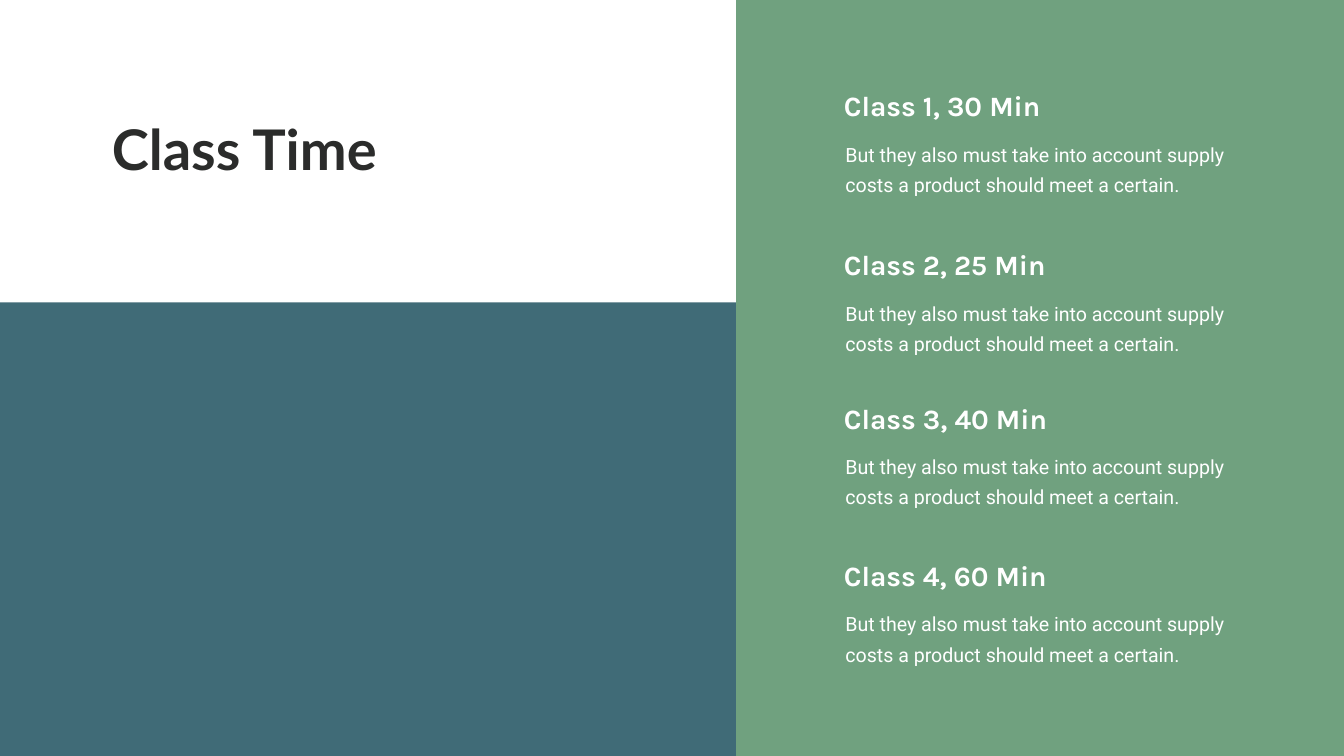
"""Build the Class Time slide: a title, two colour panels and four timed classes."""
from lxml import etree
from pptx import Presentation
from pptx.dml.color import RGBColor
from pptx.enum.shapes import MSO_SHAPE
from pptx.enum.text import MSO_ANCHOR, MSO_AUTO_SIZE, PP_ALIGN
from pptx.oxml.ns import qn
from pptx.util import Inches, Pt

RECTANGLE = MSO_SHAPE.RECTANGLE
TOP = MSO_ANCHOR.TOP
GROW = MSO_AUTO_SIZE.SHAPE_TO_FIT_TEXT
LEFT = PP_ALIGN.LEFT

WHITE = RGBColor(0xFF, 0xFF, 0xFF)
CHARCOAL = RGBColor(0x2B, 0x2C, 0x2B)
GREEN = RGBColor(0x70, 0xA1, 0x7F)
TEAL = RGBColor(0x11, 0x46, 0x56)

SLIDE_WIDTH, SLIDE_HEIGHT = 26.66, 15
SPLIT_X, SPLIT_Y = 14.6, 6

TITLE = "Class Time"
DESCRIPTION = "But they also must take into account supply costs a product should meet a certain."
CLASSES = [
    ("Class 1, 30 Min", 1.71),
    ("Class 2, 25 Min", 4.87),
    ("Class 3, 40 Min", 7.91),
    ("Class 4, 60 Min", 11.03),
]
PANELS = [
    ((SPLIT_X, 0, SLIDE_WIDTH - SPLIT_X, SLIDE_HEIGHT), GREEN, 100),
    ((0, SPLIT_Y, SPLIT_X, SLIDE_HEIGHT - SPLIT_Y), TEAL, 80),
]

TITLE_FONT = {"name": "Lato", "size": Pt(80), "bold": True}
HEADING_FONT = {"name": "Karla", "size": Pt(40), "bold": True}
BODY_FONT = {"name": "Roboto", "size": Pt(28), "bold": False}
PLAIN_FRAME = {"word_wrap": True, "vertical_anchor": TOP, "auto_size": GROW}
BODY_FRAME = PLAIN_FRAME | {
    "margin_left": Inches(0.24), "margin_right": Inches(0.24),
    "margin_top": Inches(0.12), "margin_bottom": Inches(0.12),
}
PLAIN_LINES = {"alignment": LEFT}
BODY_LINES = {"alignment": LEFT, "line_spacing": Pt(43)}


def apply(target, values):
    for attribute, value in values.items():
        setattr(target, attribute, value)


def write(box, text, font, color, frame=PLAIN_FRAME, lines=PLAIN_LINES):
    box.text_frame.text = text
    apply(box.text_frame, frame)
    paragraph = box.text_frame.paragraphs[0]
    apply(paragraph, lines)
    run = paragraph.runs[0]
    apply(run.font, font)
    run.font.color.rgb = color


def add_panel(slide, area, color, opacity):
    panel = slide.shapes.add_shape(RECTANGLE, *map(Inches, area))
    panel.shadow.inherit = False
    panel.line.fill.background()
    panel.fill.solid()
    panel.fill.fore_color.rgb = color
    if opacity < 100:
        fill_color = next(panel.fill._xPr.iter(qn("a:srgbClr")))
        etree.SubElement(fill_color, qn("a:alpha"), val=str(opacity * 1000))


def add_class(slide, heading, top):
    group = slide.shapes.add_group_shape()
    description_box = group.shapes.add_textbox(*map(Inches, (16.53, top + 0.87, 8.14, 1.39)))
    write(description_box, DESCRIPTION, BODY_FONT, WHITE, BODY_FRAME, BODY_LINES)
    heading_box = group.shapes.add_textbox(*map(Inches, (16.64, top, 4.77, 0.77)))
    write(heading_box, heading, HEADING_FONT, WHITE)


def main():
    deck = Presentation()
    deck.slide_width, deck.slide_height = Inches(SLIDE_WIDTH), Inches(SLIDE_HEIGHT)
    slide = deck.slides.add_slide(deck.slide_layouts[5])
    slide.background.fill.solid()
    slide.background.fill.fore_color.rgb = WHITE

    for panel in PANELS:
        add_panel(slide, *panel)

    title = slide.shapes.title
    apply(title, {"left": Inches(2.12), "top": Inches(2.23),
                  "width": Inches(8.23), "height": Inches(1.45)})
    write(title, TITLE, TITLE_FONT, CHARCOAL)

    for heading, top in CLASSES:
        add_class(slide, heading, top)
    deck.save("out.pptx")


if __name__ == "__main__":
    main()
